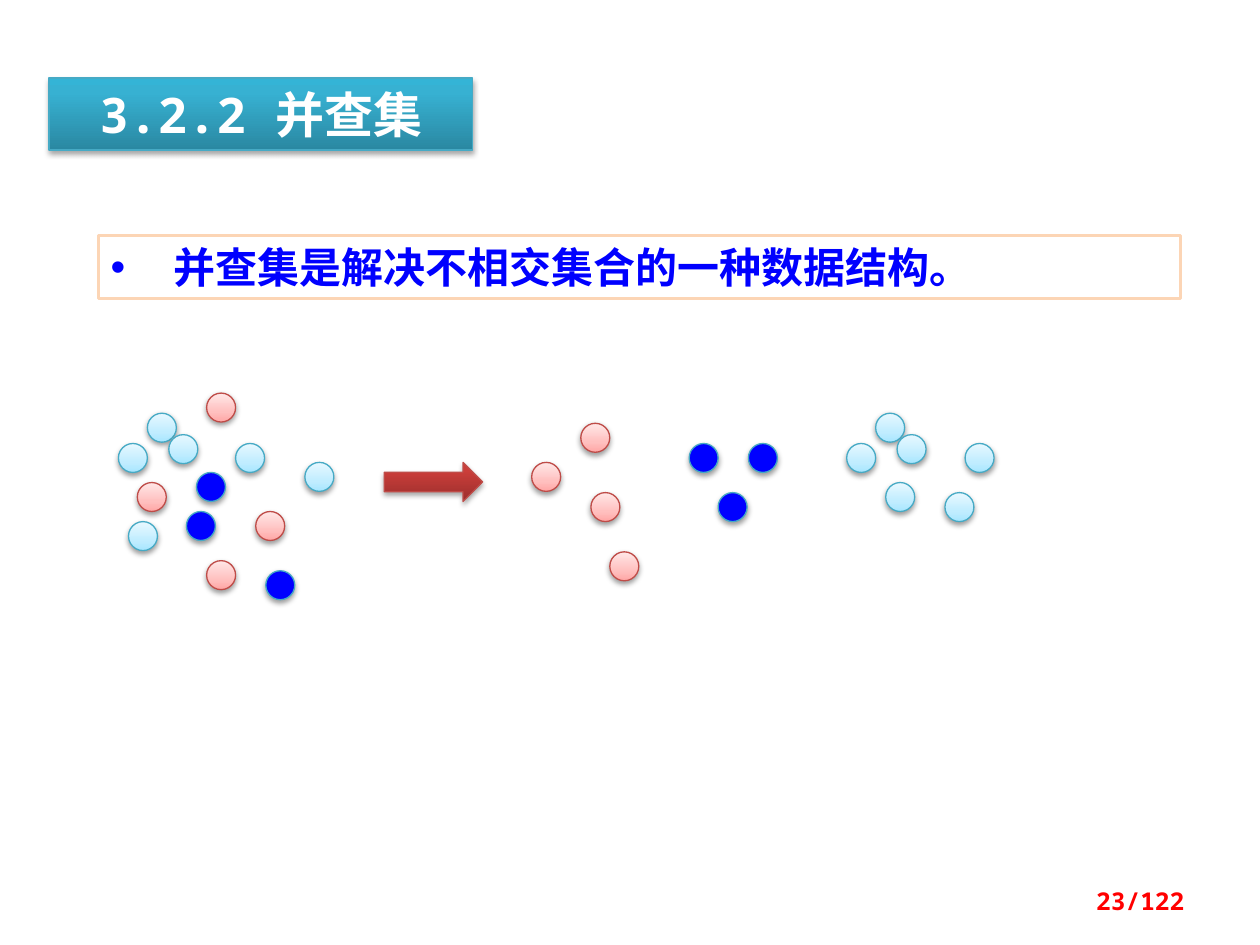
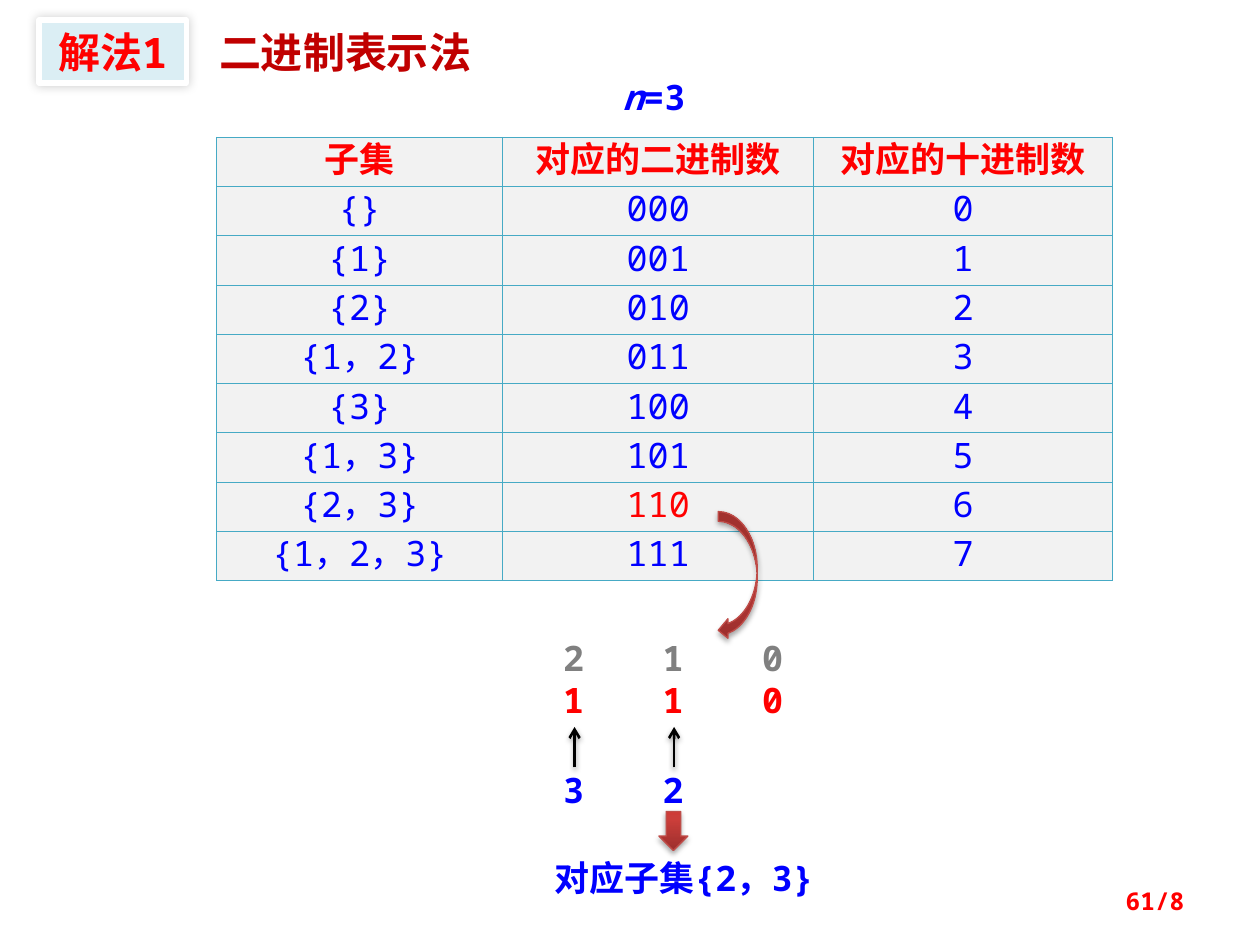
from lxml.etree import SubElement
from pptx import Presentation
from pptx.dml.color import RGBColor
from pptx.enum.shapes import MSO_CONNECTOR, MSO_SHAPE
from pptx.enum.text import MSO_ANCHOR, PP_ALIGN
from pptx.oxml.ns import qn
from pptx.util import Emu, Pt

EMU_PER_PX = 9144
MONO, CJK = "Noto Sans Mono", "Noto Sans CJK SC"
RED, BLUE, DARK_RED, GREY = "FF0000", "0000FF", "C00000", "808080"
WHITE, BLACK = "FFFFFF", "000000"
TEAL, BRICK = "46AAC5", "BF4C48"

TITLE_FILL = [(0, "2A88A2"), (80, "37B1D2"), (100, "34B4D6")]
ARROW_FILL = [(0, "9C2F2D"), (80, "CB3E3A"), (100, "CE3B37")]
CYAN_FILL = [(0, "A7E6FF"), (35, "C1EDFF"), (100, "E7F8FF")]
PINK_FILL = [(0, "FFA6A5"), (35, "FFC0BF"), (100, "FFE7E7")]

BLOCK_SHADOW = (35, 3.1, 1.8, 90)
DOT_SHADOW = (38, 3.1, 1.6, 90)
GLOW_SHADOW = (20, 6, 0, 225)

DOT_SIZE = 23
MIXED_DOTS = [
    (CYAN_FILL, TEAL, [(117, 328), (134, 345), (94, 352), (102, 414), (242, 367), (187, 352)]),
    (PINK_FILL, BRICK, [(109, 383), (164, 312), (203, 406), (164, 445)]),
    (BLUE, TEAL, [(156, 375), (148, 406), (211, 453)]),
]
SORTED_DOTS = [
    (PINK_FILL, BRICK, [(422, 367), (461, 336), (484, 438), (469, 391)]),
    (BLUE, TEAL, [(547, 352), (570, 391), (594, 352)]),
    (CYAN_FILL, TEAL, [(695, 328), (712, 345), (672, 352), (703, 383), (750, 391), (766, 352)]),
]

HEADERS = ["子集", "对应的二进制数", "对应的十进制数"]
SUBSETS = ["{}", "{1}", "{2}", "{1，2}", "{3}", "{1，3}", "{2，3}", "{1，2，3}"]
EXAMPLE = 6


def px(n):
    return Emu(n * EMU_PER_PX)


def box(*lengths):
    return [px(n) for n in lengths]


def rgb(color):
    return RGBColor.from_string(color)


def add_effects(sp, shadow=None):
    effects = SubElement(sp._element.spPr, qn("a:effectLst"))
    if shadow:
        alpha, blur, dist, angle = shadow
        outer = SubElement(effects, qn("a:outerShdw"), blurRad=str(Pt(blur)), dist=str(Pt(dist)),
                           dir=str(angle * 60000), algn="ctr", rotWithShape="0")
        clr = SubElement(outer, qn("a:srgbClr"), val=BLACK)
        SubElement(clr, qn("a:alpha"), val=str(alpha * 1000))


def set_fill(sp, fill):
    if isinstance(fill, str):
        sp.fill.solid()
        sp.fill.fore_color.rgb = rgb(fill)
        return
    sp.fill.gradient()
    sp.fill.gradient_angle = 90
    stops = sp._element.spPr.find(".//" + qn("a:gsLst"))
    stops.clear()
    for pos, color in fill:
        gs = SubElement(stops, qn("a:gs"), pos=str(pos * 1000))
        SubElement(gs, qn("a:srgbClr"), val=color)


def add_block(s, kind, at, fill, line, width=0.75, shadow=None):
    sp = s.shapes.add_shape(kind, *box(*at))
    set_fill(sp, fill)
    sp.line.color.rgb = rgb(line)
    sp.line.width = Pt(width)
    add_effects(sp, shadow)
    return sp


def add_run(p, text, size, color, bold=True, italic=False, font=MONO):
    r = p.add_run()
    r.text = text
    r.font.size = Pt(size)
    r.font.bold = bold
    r.font.italic = italic
    r.font.name = font
    r.font.color.rgb = rgb(color)
    SubElement(r._r.get_or_add_rPr(), qn("a:ea"), typeface=CJK)


def write(sp, text, size, color, align=PP_ALIGN.LEFT, anchor=MSO_ANCHOR.MIDDLE, font=MONO):
    tf = sp.text_frame
    tf.word_wrap = True
    tf.vertical_anchor = anchor
    p = tf.paragraphs[0]
    p.alignment = align
    if text:
        add_run(p, text, size, color, font=font)
    return p


def add_text(s, at, text="", size=20, color=BLUE, font=MONO):
    sp = s.shapes.add_textbox(*box(*at))
    write(sp, text, size, color, anchor=MSO_ANCHOR.TOP, font=font)
    return sp.text_frame


def add_page_number(s, text):
    sp = s.shapes.add_textbox(*box(717, 695, 233, 40))
    write(sp, text, 14, RED, PP_ALIGN.RIGHT)


def add_bullet(p, indent):
    pPr = p._p.get_or_add_pPr()
    pPr.set("marL", str(px(indent)))
    pPr.set("indent", str(px(-indent)))
    SubElement(pPr, qn("a:buFont"), typeface="Arial")
    SubElement(pPr, qn("a:buChar"), char="•")


def add_tabs(p, step, count):
    tabs = SubElement(p._p.get_or_add_pPr(), qn("a:tabLst"))
    for i in range(1, count + 1):
        SubElement(tabs, qn("a:tab"), pos=str(px(step * i // 2)), algn="l")


def add_dots(s, groups):
    for fill, line, places in groups:
        for x, y in places:
            add_block(s, MSO_SHAPE.OVAL, (x, y, DOT_SIZE, DOT_SIZE), fill, line, shadow=DOT_SHADOW)


def add_block_arrow(s, kind, at):
    add_block(s, kind, at, ARROW_FILL, BRICK, shadow=BLOCK_SHADOW)


def add_up_arrow(s, x, bottom, top):
    cn = s.shapes.add_connector(MSO_CONNECTOR.STRAIGHT, *box(x, bottom, x, top))
    cn.line.color.rgb = rgb(BLACK)
    cn.line.width = Pt(1.5)
    SubElement(cn.line._get_or_add_ln(), qn("a:tailEnd"), type="arrow")
    add_effects(cn, DOT_SHADOW)


def set_cell(cell, text, color, bold):
    cell.margin_left = cell.margin_right = px(7)
    cell.margin_top = cell.margin_bottom = 0
    cell.vertical_anchor = MSO_ANCHOR.MIDDLE
    p = cell.text_frame.paragraphs[0]
    p.alignment = PP_ALIGN.CENTER
    p.line_spacing = Pt(24)
    add_run(p, text, 20, color, bold)
    tcPr = cell._tc.get_or_add_tcPr()
    for side in "LRTB":
        ln = SubElement(tcPr, qn("a:ln" + side), w=str(Pt(0.75)))
        SubElement(SubElement(ln, qn("a:solidFill")), qn("a:srgbClr"), val=TEAL)
    cell.fill.solid()
    cell.fill.fore_color.rgb = rgb("F2F2F2")


def add_subset_table(s):
    rows = [HEADERS] + [[t, f"{i:03b}", str(i)] for i, t in enumerate(SUBSETS)]
    table = s.shapes.add_table(len(rows), len(HEADERS), *box(172, 109, 711, 352)).table
    table.first_row = table.horz_banding = False
    for col, width in zip(table.columns, (227, 247, 237)):
        col.width = px(width)
    for i, row in enumerate(rows):
        for j, text in enumerate(row):
            marked = i == 0 or (i, j) == (EXAMPLE + 1, 1)
            set_cell(table.cell(i, j), text, RED if marked else BLUE, i == 0)


def build_disjoint_sets(s):
    title = add_block(s, MSO_SHAPE.RECTANGLE, (39, 62, 336, 57), TITLE_FILL, TEAL,
                      shadow=BLOCK_SHADOW)
    write(title, "3.2.2 并查集", 28, WHITE, PP_ALIGN.CENTER)
    note = add_block(s, MSO_SHAPE.RECTANGLE, (78, 187, 859, 50), WHITE, "FCD5B5", 2)
    p = write(note, "", 24, BLUE)
    add_bullet(p, 50)
    add_run(p, "并查集是解决不相交集合的一种数据结构。", 24, BLUE)
    add_dots(s, MIXED_DOTS)
    add_block_arrow(s, MSO_SHAPE.RIGHT_ARROW, (305, 367, 78, 31))
    add_dots(s, SORTED_DOTS)
    add_page_number(s, "23/122")


def build_binary_subsets(s):
    add_subset_table(s)
    add_page_number(s, "61/8")

    bits = add_text(s, (437, 500, 219, 77))
    for i, (text, color) in enumerate([("2\t\t1\t\t0", GREY), ("1\t\t1\t\t0", RED)]):
        p = bits.add_paragraph() if i else bits.paragraphs[0]
        add_tabs(p, 79, 4)
        add_run(p, text, 20, color)
    for x, element in ((437, "3"), (516, "2")):
        add_text(s, (x, 605, 39, 44), element)
        add_up_arrow(s, x + 19, 609, 577)
    add_text(s, (430, 675, 250, 44), "对应子集{2，3}")
    add_block_arrow(s, MSO_SHAPE.DOWN_ARROW, (523, 644, 23, 31))

    tag = add_block(s, MSO_SHAPE.RECTANGLE, (31, 16, 117, 50), "DBEEF4", WHITE, 3, GLOW_SHADOW)
    write(tag, "解法1", 24, RED, PP_ALIGN.CENTER)
    add_text(s, (164, 16, 234, 50), "二进制表示法", 24, DARK_RED, CJK)
    size_label = add_text(s, (484, 55, 148, 44)).paragraphs[0]
    add_run(size_label, "n", 20, BLUE, italic=True)
    add_run(size_label, "=3", 20, BLUE)
    add_block_arrow(s, MSO_SHAPE.CURVED_LEFT_ARROW, (570, 406, 31, 102))


def main():
    prs = Presentation()
    prs.slide_width, prs.slide_height = box(1000, 750)
    for build in (build_disjoint_sets, build_binary_subsets):
        build(prs.slides.add_slide(prs.slide_layouts[6]))
    prs.save("out.pptx")


if __name__ == "__main__":
    main()
